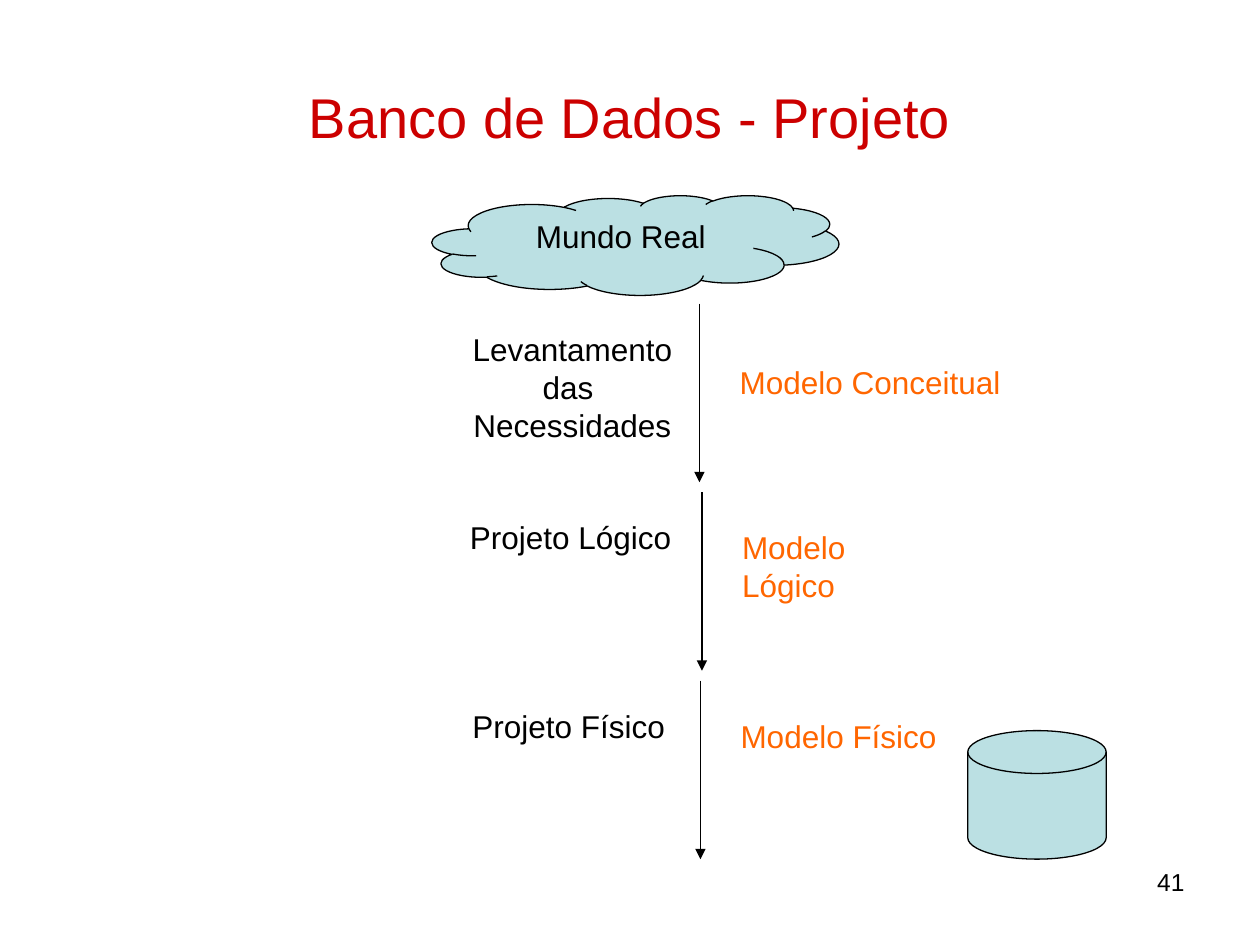
from lxml import etree
from pptx import Presentation
from pptx import util as u
from pptx.dml.color import RGBColor
from pptx.enum import shapes, text
from pptx.oxml.ns import qn

TITLE = "Banco de Dados - Projeto"
WORLD = "Mundo Real"
NUMBER = "41"
STAGES = [
    {"step": ["Levantamento ", "das ", "Necessidades"], "step_at": (9.19, 6.53, 4.7, 2.54),
     "model": "Modelo Conceitual", "model_at": (14.66, 7.19, 5.77, 1.02), "arrow_x": 14.1},
    {"step": ["Projeto Lógico"], "step_at": (9.22, 10.31, 4.57, 1.02),
     "model": "Modelo Lógico", "model_at": (14.71, 10.52, 4.62, 1.02), "arrow_x": 14.15},
    {"step": ["Projeto Físico"], "step_at": (9.27, 14.12, 4.39, 1.02),
     "model": "Modelo Físico", "model_at": (14.68, 14.33, 4.62, 1.02), "arrow_x": 14.12},
]
ARROW_TOP, ARROW_LENGTH, ARROW_PITCH = 6.12, 3.6, 3.8
BLACK, WHITE, RED, ORANGE, AQUA = "000000", "FFFFFF", "CC0000", "FF6600", "BBE0E3"
CENTER, LEFT, RIGHT = text.PP_ALIGN.CENTER, text.PP_ALIGN.LEFT, text.PP_ALIGN.RIGHT


def rgb(value):
    return RGBColor.from_string(value)


def place(at):
    return [u.Cm(v) for v in at]


def write(sp, lines, size=18, color=BLACK, align=CENTER, anchor=text.MSO_ANCHOR.TOP, wrap=True):
    tf = sp.text_frame
    tf.word_wrap = wrap
    tf.auto_size = text.MSO_AUTO_SIZE.NONE if wrap else text.MSO_AUTO_SIZE.SHAPE_TO_FIT_TEXT
    tf.vertical_anchor = anchor
    for i, line in enumerate(lines):
        p = tf.add_paragraph() if i else tf.paragraphs[0]
        p.alignment = align
        r = p.add_run()
        r.text = line
        r.font.name, r.font.size = "Arial", u.Pt(size)
        r.font.color.rgb = rgb(color)


def add_shape(slide, kind, at, fill, line=None):
    sp = slide.shapes.add_shape(kind, *place(at))
    sp.shadow.inherit = False
    sp.fill.solid()
    sp.fill.fore_color.rgb = rgb(fill)
    if line:
        sp.line.color.rgb = rgb(line)
        sp.line.width = u.Pt(0.75)
    else:
        sp.line.fill.background()
    return sp


def add_arrow(slide, x, top):
    ends = place((x, top, x, top + ARROW_LENGTH))
    cn = slide.shapes.add_connector(shapes.MSO_CONNECTOR.STRAIGHT, *ends)
    cn.line.color.rgb = rgb(BLACK)
    cn.line.width = u.Pt(0.75)
    etree.SubElement(cn.line._get_or_add_ln(), qn("a:tailEnd"), type="triangle")
    etree.SubElement(cn._element.spPr, qn("a:effectLst"))


def main():
    """Build the database design slide."""
    prs = Presentation()
    prs.slide_width, prs.slide_height = u.Cm(25.4), u.Cm(19.05)
    slide = prs.slides.add_slide(prs.slide_layouts[5])

    title = slide.shapes.title
    title.left, title.top, title.width, title.height = place((1.27, 0.76, 22.86, 3.18))
    write(title, [TITLE], size=32, color=RED, anchor=text.MSO_ANCHOR.MIDDLE)

    kind = shapes.MSO_SHAPE
    cloud = add_shape(slide, kind.CLOUD_CALLOUT, (8.71, 3.94, 8.2, 2.01), AQUA, BLACK)
    cloud.adjustments[0], cloud.adjustments[1] = -0.41, 1.9
    write(cloud, [WORLD])

    for i, stage in enumerate(STAGES):
        step = add_shape(slide, kind.RECTANGLE, stage["step_at"], WHITE)
        write(step, stage["step"], wrap=False)
        add_arrow(slide, stage["arrow_x"], ARROW_TOP + i * ARROW_PITCH)
        model = slide.shapes.add_textbox(*place(stage["model_at"]))
        write(model, [stage["model"]], color=ORANGE, align=LEFT, wrap=False)

    add_shape(slide, kind.FLOWCHART_MAGNETIC_DISK, (19.51, 14.73, 2.79, 2.59), AQUA, BLACK)
    number = slide.shapes.add_textbox(*place((18.21, 17.35, 5.92, 1.32)))
    write(number, [NUMBER], size=14, align=RIGHT)
    prs.save("out.pptx")


if __name__ == "__main__":
    main()
